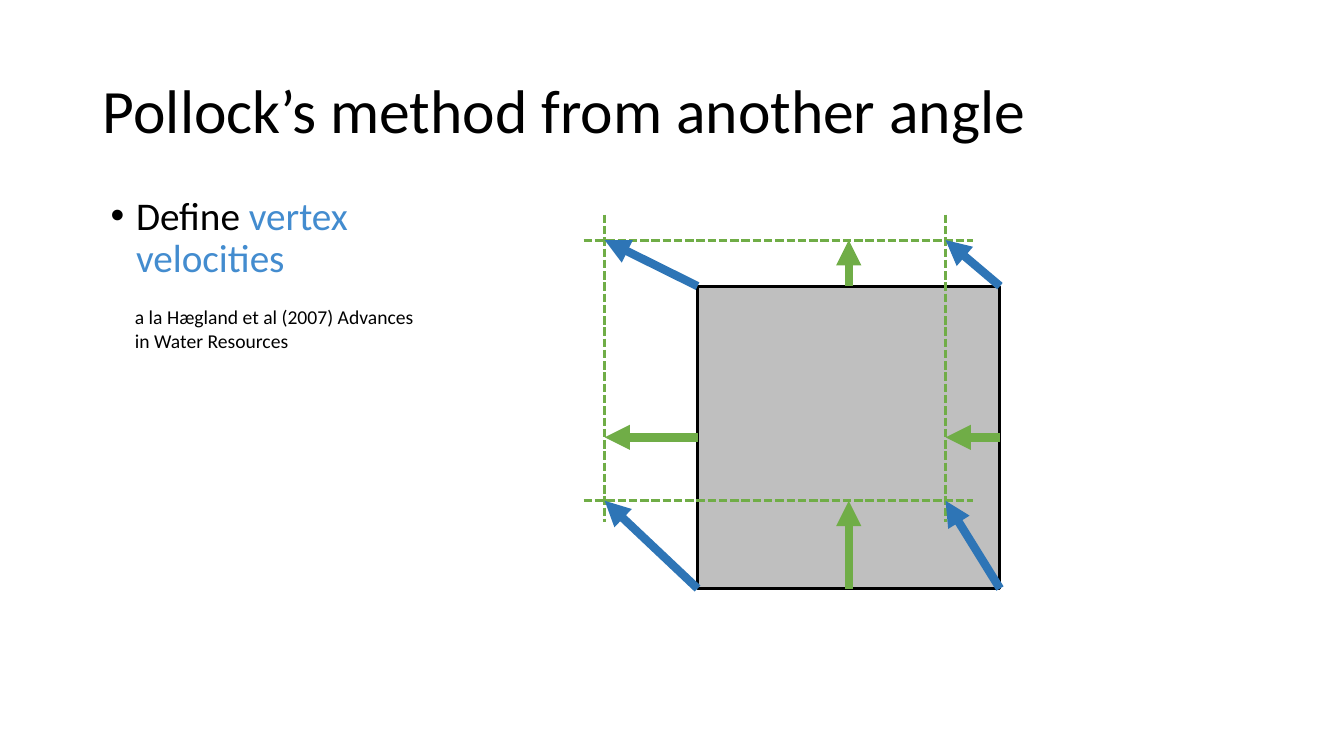
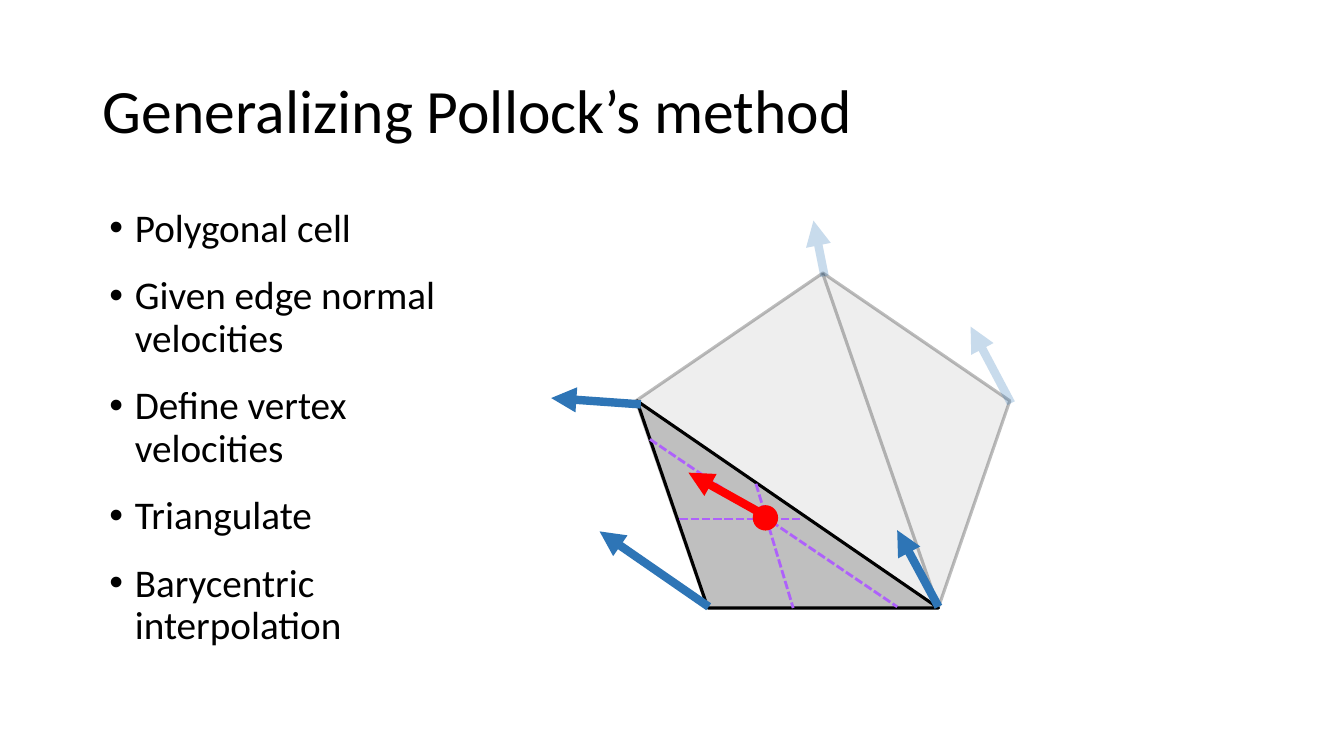
import lxml.etree
import pptx
import pptx.dml.color
import pptx.enum.dml
import pptx.enum.shapes
import pptx.enum.text
import pptx.oxml.ns
import pptx.util

Cm = pptx.util.Cm
Pt = pptx.util.Pt
qn = pptx.oxml.ns.qn

COLORS = {
    "ink": "000000",
    "cell": "BFBFBF",
    "term": "438CCF",
    "vertex": "2E75B6",
    "edge": "70AD47",
    "guide": "AE61FB",
    "point": "FF0000",
}
FONT = "Calibri"
TITLE_SIZE, BODY_SIZE, CAPTION_SIZE = 44, 28, 14
OUTLINE, DASHED, ARROW = 2.25, 2, 6
FADED = 25  # opacity in percent
BODY_WIDTH, BODY_HEIGHT = 10.29, 12.47


def rgb(name):
    return pptx.dml.color.RGBColor.from_string(COLORS[name])


def apply(target, values):
    for name, value in values.items():
        setattr(target, name, value)


def set_opacity(shape, percent):
    for color in shape._element.spPr.iter(qn("a:srgbClr")):
        lxml.etree.SubElement(color, qn("a:alpha"), val=str(percent * 1000))


# Text
def add_span(para, text, size, color="ink"):
    span = para.add_run()
    span.text = text
    apply(span.font, {"name": FONT, "size": Pt(size)})
    span.font.color.rgb = rgb(color)


def add_slide(deck, title):
    page = deck.slides.add_slide(deck.slide_layouts[5])
    box = page.shapes.title
    apply(box, {"left": Cm(2.34), "top": Cm(1.02), "width": Cm(29.21), "height": Cm(3.68)})
    apply(box.text_frame, {
        "word_wrap": True,
        "auto_size": pptx.enum.text.MSO_AUTO_SIZE.NONE,
        "vertical_anchor": pptx.enum.text.MSO_ANCHOR.MIDDLE,
    })
    para = box.text_frame.paragraphs[0]
    apply(para, {"alignment": pptx.enum.text.PP_ALIGN.LEFT, "line_spacing": 0.9})
    add_span(para, title, TITLE_SIZE)
    return page


def add_text_box(page, left, top, width, height):
    box = page.shapes.add_textbox(Cm(left), Cm(top), Cm(width), Cm(height))
    box.text_frame.word_wrap = True
    return box.text_frame


def add_bullets(page, left, top, items):
    """Each item is a list of (text, colour) spans."""
    frame = add_text_box(page, left, top, BODY_WIDTH, BODY_HEIGHT)
    for index, spans in enumerate(items):
        para = frame.add_paragraph() if index else frame.paragraphs[0]
        properties = para._p.get_or_add_pPr()
        properties.set("marL", str(Cm(0.64)))
        properties.set("indent", str(-Cm(0.64)))
        lxml.etree.SubElement(properties, qn("a:buFont"), typeface="Arial")
        lxml.etree.SubElement(properties, qn("a:buChar"), char="•")
        apply(para, {"line_spacing": 0.9, "space_before": Pt(18 if index else 0)})
        for text, color in spans:
            add_span(para, text, BODY_SIZE, color)


# Shapes and lines
def style_shape(shape, fill, outlined=True):
    shape.shadow.inherit = False
    shape.fill.solid()
    shape.fill.fore_color.rgb = rgb(fill)
    if outlined:
        shape.line.color.rgb = rgb("ink")
        shape.line.width = Pt(OUTLINE)
    else:
        shape.line.fill.background()


def add_preset(page, kind, left, top, width, height, fill, outlined=True):
    shape = page.shapes.add_shape(kind, Cm(left), Cm(top), Cm(width), Cm(height))
    style_shape(shape, fill, outlined)
    return shape


def add_polygon(page, corners, fill):
    points = [(Cm(x), Cm(y)) for x, y in corners]
    builder = page.shapes.build_freeform(*points[0])
    builder.add_line_segments(points[1:], close=True)
    style_shape(builder.convert_to_shape(), fill)


def add_line(page, start, end, color, width=OUTLINE, opacity=None):
    ends = [Cm(value) for value in (*start, *end)]
    line = page.shapes.add_connector(pptx.enum.shapes.MSO_CONNECTOR.STRAIGHT, *ends)
    line.line.color.rgb = rgb(color)
    line.line.width = Pt(width)
    lxml.etree.SubElement(line._element.spPr, qn("a:effectLst"))
    if opacity:
        set_opacity(line, opacity)
    return line


def add_dashed(page, start, end, color):
    line = add_line(page, start, end, color, DASHED)
    line.line.dash_style = pptx.enum.dml.MSO_LINE.SQUARE_DOT


def add_arrow(page, start, end, color, opacity=None):
    line = add_line(page, start, end, color, ARROW, opacity)
    outline = line._element.spPr.find(qn("a:ln"))
    lxml.etree.SubElement(outline, qn("a:tailEnd"), type="triangle")


# Slides
def build_square_slide(deck):
    page = add_slide(deck, "Pollock’s method from another angle")
    add_bullets(page, 2.54, 4.83, [[("Define ", "ink"), ("vertex velocities", "term")]])

    left, top, side = 17.58, 7.21, 7.62
    middle_x, middle_y = left + side / 2, top + side / 2
    add_preset(page, pptx.enum.shapes.MSO_SHAPE.RECTANGLE, left, top, side, side, "cell")

    # Each edge and the guide line it moves to
    columns = [(left, 15.24), (left + side, 23.83)]
    rows = [(top, 6.05), (top + side, 12.62)]
    for _, y in rows:
        add_dashed(page, (14.71, y), (24.51, y), "edge")
    for _, x in columns:
        add_dashed(page, (x, 5.41), (x, 13.16), "edge")

    # Corners move to the crossings of the guides
    for x, new_x in columns:
        for y, new_y in rows:
            add_arrow(page, (x, y), (new_x, new_y), "vertex")
    for x, new_x in columns:
        add_arrow(page, (x, middle_y), (new_x, middle_y), "edge")
    for y, new_y in rows:
        add_arrow(page, (middle_x, y), (middle_x, new_y), "edge")

    caption = add_text_box(page, 3.15, 7.57, 7.87, 1.45)
    add_span(caption.paragraphs[0],
             "a la Hægland et al (2007) Advances in Water Resources", CAPTION_SIZE)


def build_polygon_slide(deck):
    page = add_slide(deck, "Generalizing Pollock’s method")
    steps = ["Polygonal cell", "Given edge normal velocities", "Define vertex velocities",
             "Triangulate", "Barycentric interpolation"]
    add_bullets(page, 2.51, 5.13, [[(step, "ink")] for step in steps])

    # Faded cell, with the diagonals that cut it into triangles
    apex, west, south_west, south_east = (20.73, 6.88), (16.05, 10.1), (17.84, 15.32), (23.65, 15.32)
    pentagon = add_preset(page, pptx.enum.shapes.MSO_SHAPE.REGULAR_PENTAGON,
                          16.03, 6.88, 9.42, 8.43, "cell")
    set_opacity(pentagon, FADED)
    add_arrow(page, (25.48, 10.16), (24.46, 8.23), "vertex", FADED)
    add_line(page, apex, south_east, "ink", opacity=FADED)
    add_arrow(page, (20.78, 6.96), (20.5, 5.56), "vertex", FADED)

    # Active triangle and the guides through its point
    add_polygon(page, [west, south_east, south_west], "cell")
    guides = [((19.05, 12.19), (19.99, 15.32)),
              ((17.12, 13.08), (20.19, 13.08)),
              ((16.38, 11.07), (22.61, 15.29))]
    for start, end in guides:
        add_dashed(page, start, end, "guide")
    add_preset(page, pptx.enum.shapes.MSO_SHAPE.OVAL, 18.97, 12.73, 0.64, 0.64, "point", False)
    add_arrow(page, (19.3, 13), (17.35, 11.91), "point")

    # Velocities at the corners of the triangle
    velocities = [((16.15, 10.19), (13.89, 10.03)),
                  ((23.65, 15.29), (22.61, 13.36)),
                  ((17.86, 15.29), (15.11, 13.39))]
    for start, end in velocities:
        add_arrow(page, start, end, "vertex")


def main():
    deck = pptx.Presentation()
    apply(deck, {"slide_width": Cm(33.87), "slide_height": Cm(19.05)})
    build_square_slide(deck)
    build_polygon_slide(deck)
    deck.save("out.pptx")


if __name__ == "__main__":
    main()
